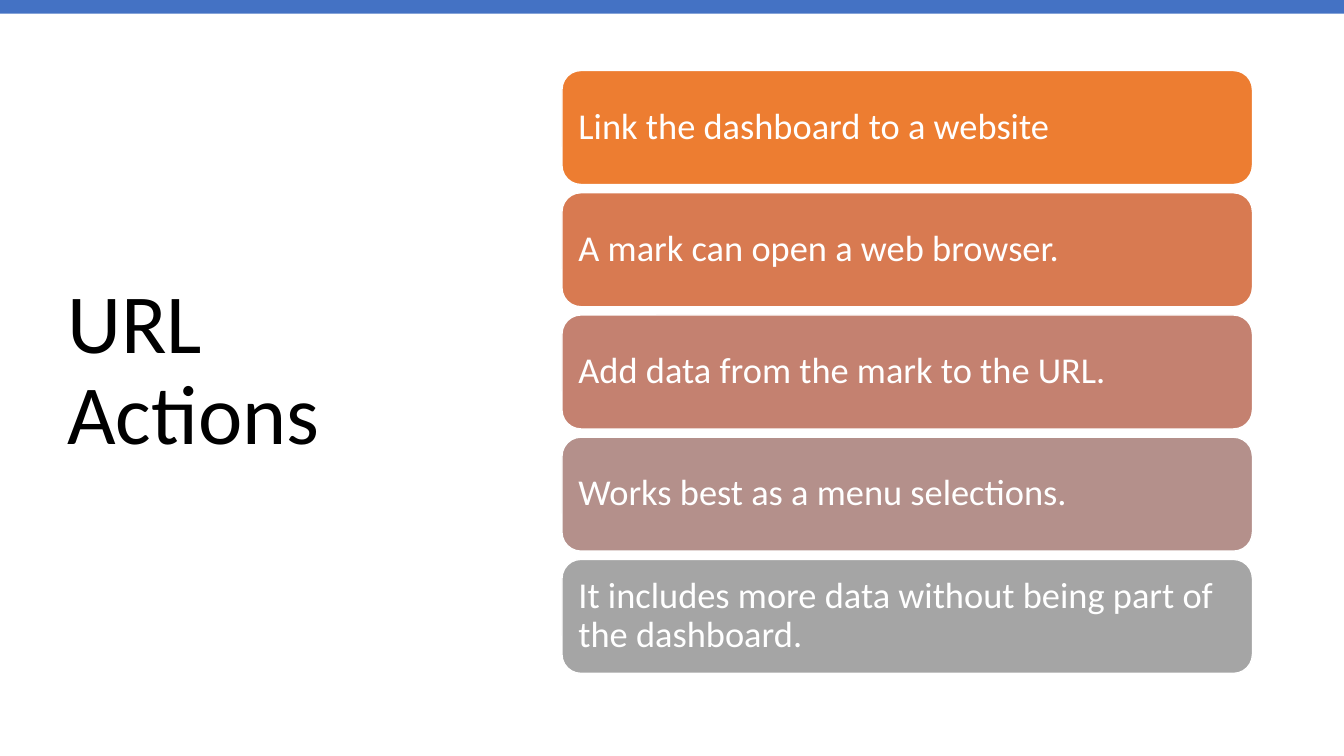
from pptx import Presentation
from pptx.dml.color import RGBColor
from pptx.enum import shapes, text
from pptx.util import Pt

BLACK = RGBColor(0x00, 0x00, 0x00)
WHITE = RGBColor(0xFF, 0xFF, 0xFF)
BLUE = RGBColor(0x44, 0x72, 0xC4)
ORANGE = RGBColor(0xED, 0x7D, 0x31)
TERRACOTTA = RGBColor(0xD8, 0x7A, 0x51)
ROSE = RGBColor(0xC4, 0x81, 0x70)
MAUVE = RGBColor(0xB4, 0x90, 0x8B)
GREY = RGBColor(0xA5, 0xA5, 0xA5)

FONT = "Calibri"
SLIDE_WIDTH, SLIDE_HEIGHT = 960, 540
CARD_LEFT, CARD_TOP = 401.4, 50.4
CARD_WIDTH, CARD_HEIGHT = 493.2, 81.4
CARD_PITCH = 87.3

CARDS = [
    ("Link the dashboard to a website", ORANGE),
    ("A mark can open a web browser.", TERRACOTTA),
    ("Add data from the mark to the URL.", ROSE),
    ("Works best as a menu selections.", MAUVE),
    ("It includes more data without being part of the dashboard.", GREY),
]


def write(holder, wording, *, size, color, side=7.2, right=None):
    """Set left-aligned, vertically centred text; side and right are insets."""
    frame = holder.text_frame
    frame.word_wrap = True
    frame.vertical_anchor = text.MSO_ANCHOR.MIDDLE
    frame.margin_left = Pt(side)
    frame.margin_right = Pt(side if right is None else right)
    paragraph = frame.paragraphs[0]
    paragraph.text = wording
    paragraph.alignment = text.PP_ALIGN.LEFT
    paragraph.line_spacing = 0.9
    paragraph.font.name = FONT
    paragraph.font.size = Pt(size)
    paragraph.font.color.rgb = color


def add_block(slide, preset, left, top, width, height, fill, outline=None):
    block = slide.shapes.add_shape(
        preset, Pt(left), Pt(top), Pt(width), Pt(height))
    block.shadow.inherit = False
    block.fill.solid()
    block.fill.fore_color.rgb = fill
    if outline is None:
        block.line.fill.background()
    else:
        block.line.color.rgb = outline
        block.line.width = Pt(1)
    return block


def add_title(slide, wording):
    title = slide.shapes.add_textbox(Pt(41), Pt(49), Pt(299.5), Pt(433.4))
    write(title, wording, size=60, color=BLACK, right=20)


def add_card(slide, row, wording, fill):
    card = add_block(
        slide, shapes.MSO_SHAPE.ROUNDED_RECTANGLE,
        CARD_LEFT, CARD_TOP + row * CARD_PITCH, CARD_WIDTH, CARD_HEIGHT,
        fill, outline=WHITE)
    write(card, wording, size=26, color=WHITE, side=7.8)


def main():
    deck = Presentation()
    deck.slide_width, deck.slide_height = Pt(SLIDE_WIDTH), Pt(SLIDE_HEIGHT)
    slide = deck.slides.add_slide(deck.slide_layouts[6])
    add_title(slide, "URL Actions")
    add_block(slide, shapes.MSO_SHAPE.RECTANGLE, 0, 0, SLIDE_WIDTH, 9.8, BLUE)
    for row, (wording, fill) in enumerate(CARDS):
        add_card(slide, row, wording, fill)
    deck.save("out.pptx")


if __name__ == "__main__":
    main()
